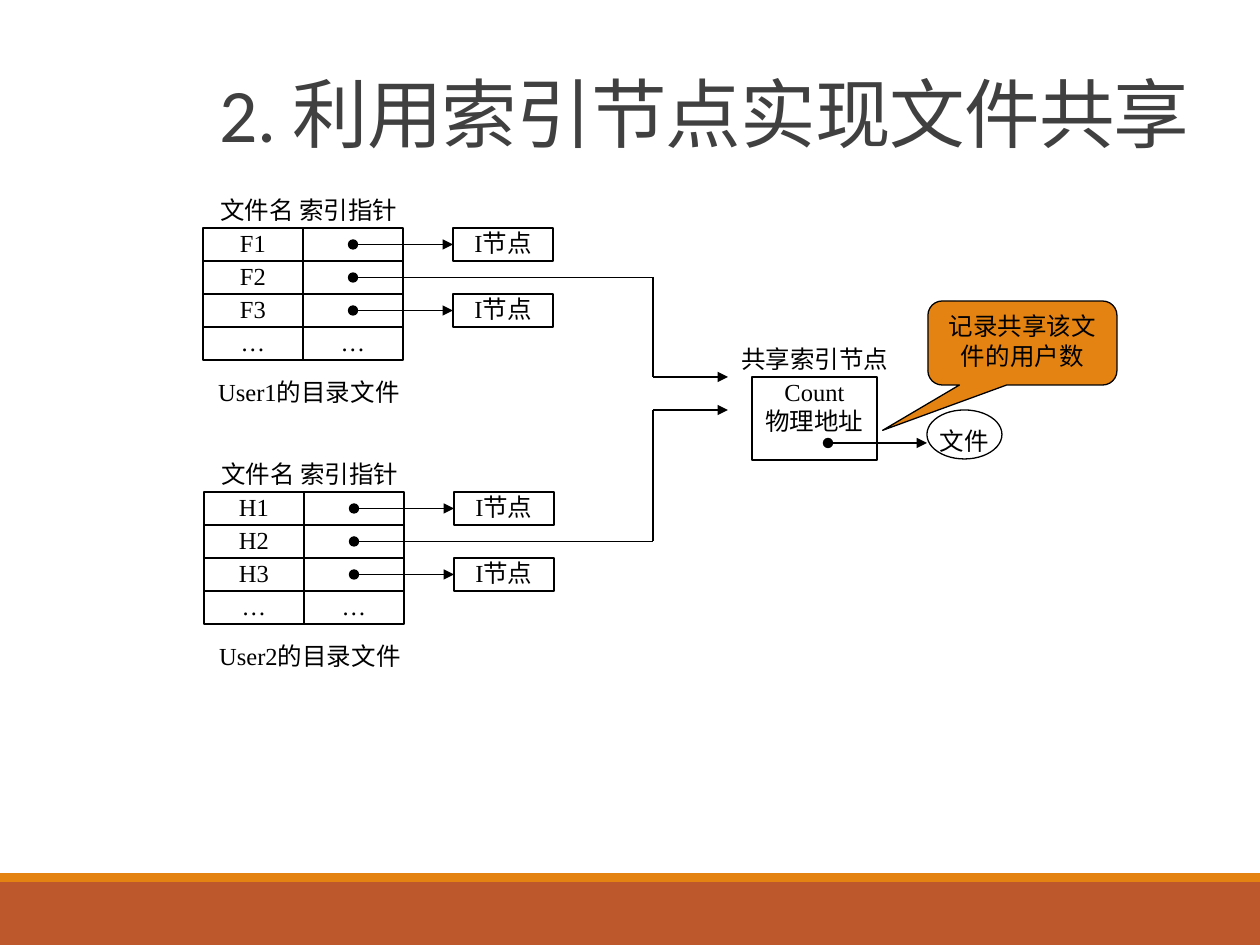
"""Build the slide on sharing files through index nodes."""
from lxml.etree import SubElement
from pptx import Presentation
from pptx.dml.color import RGBColor
from pptx.enum.shapes import MSO_CONNECTOR as LINK, MSO_SHAPE as SHAPE
from pptx.enum.text import MSO_ANCHOR as ANCHOR, MSO_AUTO_SIZE as FIT, PP_ALIGN as ALIGN
from pptx.oxml.ns import qn
from pptx.util import Pt

COLORS = {"ink": "000000", "title": "404040", "orange": "E48312", "rust": "BD582C"}
SCALE = 914400 / 126
ROW, COL = 33, 100
CJK = "Noto Sans CJK SC"

deck = Presentation()
deck.slide_width, deck.slide_height = int(1260 * SCALE), int(945 * SCALE)
slide = deck.slides.add_slide(deck.slide_layouts[5])


def place(kind, box, text="", fill=None, outline=True, inset=0, pad_right=0):
    """Add a shape, or a text box if kind is None, with centred text."""
    frame = [int(length * SCALE) for length in box]
    if kind is None:
        item = slide.shapes.add_textbox(*frame)
    else:
        item = slide.shapes.add_shape(kind, *frame)
        item.shadow.inherit = False
        item.fill.background()
        item.line.fill.background()
        if fill:
            item.fill.solid()
            item.fill.fore_color.rgb = RGBColor.from_string(COLORS[fill])
        if outline:
            item.line.color.rgb = RGBColor.from_string(COLORS["ink"])
            item.line.width = Pt(0.75)
    body = item.text_frame
    body.word_wrap = True
    body.vertical_anchor = ANCHOR.TOP
    body.margin_left = body.margin_top = body.margin_bottom = int(inset * SCALE)
    body.margin_right = int((inset + pad_right) * SCALE)
    body.text = text
    for paragraph in body.paragraphs:
        paragraph.alignment = ALIGN.CENTER
        for run in paragraph.runs:
            run.font.size = Pt(14)
            run.font.name = "Times New Roman"
            run.font.color.rgb = RGBColor.from_string(COLORS["ink"])
    return item


def link(start, end, dot=False, arrow=False):
    """Add a straight line with an optional dot at its start and arrow at its end."""
    line = slide.shapes.add_connector(
        LINK.STRAIGHT, *[int(length * SCALE) for length in (*start, *end)])
    line.line.color.rgb = RGBColor.from_string(COLORS["ink"])
    line.line.width = Pt(0.75)
    properties = line.element.spPr
    stroke = properties.find(qn("a:ln"))
    if dot:
        SubElement(stroke, qn("a:headEnd"), type="oval")
    if arrow:
        SubElement(stroke, qn("a:tailEnd"), type="triangle")
    SubElement(properties, qn("a:effectLst"))
    return line


place(SHAPE.RECTANGLE, (0, 882, 1260, 63), fill="rust", outline=False)
place(SHAPE.RECTANGLE, (0, 873, 1260, 9), fill="orange", outline=False)

title = slide.shapes.title
title.left, title.top, title.width, title.height = [
    int(length * SCALE) for length in (207, 6, 1053, 158)]
heading = title.text_frame
heading.auto_size = FIT.NONE
heading.vertical_anchor = ANCHOR.BOTTOM
heading.text = "2. "
heading_line = heading.paragraphs[0]
heading_line.alignment = ALIGN.LEFT
heading_line.line_spacing = 0.85
heading_line.add_run().text = "利用索引节点实现文件共享"
for run, font_name in zip(heading_line.runs, ("Calibri", CJK)):
    run.font.size = Pt(43.2)
    run.font.name = font_name
    run.font.color.rgb = RGBColor.from_string(COLORS["title"])
    run.font._element.set("spc", "-50")

directories = [
    ("User1", ("F1", "F2", "F3", "…"), 203, 228, 377),
    ("User2", ("H1", "H2", "H3", "…"), 204, 492, 410),
]
for user, files, left, top, shared_y in directories:
    place(None, (left, top - ROW, 224, ROW), "文件名 索引指针", pad_right=12)
    place(None, (left, top + 149, 224, ROW), f"{user}的目录文件", pad_right=12)
    for row, file_name in enumerate(files):
        y = top + row * ROW
        place(SHAPE.RECTANGLE, (left, y, COL, ROW), file_name)
        place(SHAPE.RECTANGLE, (left + COL, y, COL, ROW), "…" if file_name == "…" else "")
    pointer_x = left + COL * 3 // 2
    for row in (0, 2):
        y = top + row * ROW
        inode = place(SHAPE.RECTANGLE, (left + 250, y, COL, ROW), "I节点")
        pointer = link((pointer_x, y + ROW / 2), (left + 250, y + ROW / 2), dot=True, arrow=True)
        pointer.end_connect(inode, 1)
    shared_row_y = top + ROW * 3 / 2
    link((pointer_x, shared_row_y), (653, shared_row_y), dot=True)
    link((653, shared_row_y), (653, shared_y))
    link((653, shared_y), (728, shared_y), arrow=True)

place(None, (703, 344, 224, ROW), "共享索引节点")
place(SHAPE.RECTANGLE, (752, 377, 125, 83), "Count\n物理地址")
place(SHAPE.OVAL, (927, 410, 75, 49))
place(None, (927, 426, 75, ROW), "文件")
link((828, 443), (927, 443), dot=True, arrow=True)

callout = place(SHAPE.ROUNDED_RECTANGULAR_CALLOUT, (928, 301, 189, 84),
                "记录共享该文件的用户数", fill="orange", inset=6)
for index, adjustment in enumerate((-0.74, 1.04, 0.17)):
    callout.adjustments[index] = adjustment

for run_properties in slide.element.iter(qn("a:rPr")):
    SubElement(run_properties, qn("a:ea"), typeface=CJK)

deck.save("out.pptx")
